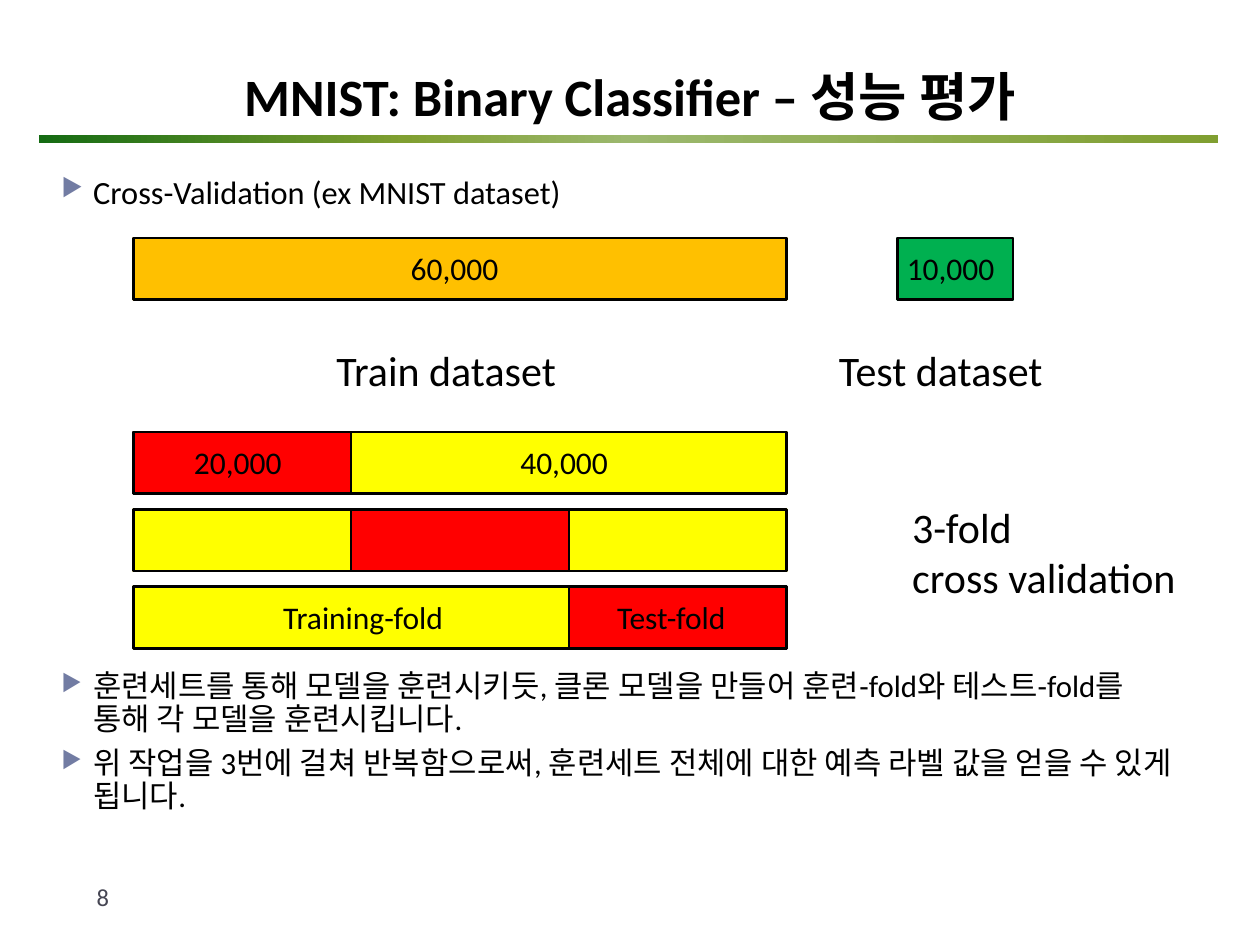
"""Build the cross-validation slide of the MNIST binary classifier lesson."""
from lxml import etree
from pptx import Presentation
from pptx.dml.color import RGBColor
from pptx.enum.shapes import MSO_SHAPE
from pptx.enum.text import MSO_ANCHOR, PP_ALIGN
from pptx.oxml import parse_xml
from pptx.oxml.ns import nsdecls, qn
from pptx.util import Cm, Pt

COLORS = {
    "text": "000000", "number": "464653", "bullet": "727CA3",
    "train": "FFC000", "test": "00B050",
    "training_fold": "FFFF00", "test_fold": "FF0000", "frame": "000000",
}
RULE_STOPS = [(0, "156B13"), (31, "809F31"), (50, "9CB86E"), (100, "809F31")]
FONT = "Calibri"

TITLE = "MNIST: Binary Classifier – 성능 평가"
PAGE_NUMBER = "8"
INTRO = ["Cross-Validation (ex MNIST dataset)"]
EXPLANATION = [
    "훈련세트를 통해 모델을 훈련시키듯, 클론 모델을 만들어 훈련-fold와 테스트-fold를 통해 각 모델을 훈련시킵니다.",
    "위 작업을 3번에 걸쳐 반복함으로써, 훈련세트 전체에 대한 예측 라벨 값을 얻을 수 있게 됩니다.",
]
LABELS = [
    ("Train dataset", 6.53, 6.83, 4.98, 24),
    ("Test dataset", 16.66, 6.83, 4.67, 24),
    ("60,000", 8.03, 4.9, 2.29, 18),
    ("10,000", 18.03, 4.9, 2.29, 18),
    ("20,000", 3.66, 8.81, 2.29, 18),
    ("40,000", 10.24, 8.81, 2.29, 18),
    ("Training-fold", 5.46, 11.94, 3.78, 18),
    ("Test-fold", 12.19, 11.94, 2.74, 18),
    ("3-fold\ncross validation", 18.14, 9.98, 6.5, 24),
]

FOLDS = 3
BAR_LEFT, BAR_HEIGHT, PART_WIDTH = 2.69, 1.24, 4.39
DATASET_TOP, FOLD_TOP, FOLD_STEP = 4.8, 8.71, 1.56
TEST_LEFT, TEST_WIDTH = 18.09, 2.33
BODY_LEFT, BODY_WIDTH = 0.99, 22.91


def rgb(name):
    return RGBColor.from_string(COLORS[name])


def add_block(slide, left, top, width, fill=None, line="frame"):
    block = slide.shapes.add_shape(
        MSO_SHAPE.RECTANGLE, Cm(left), Cm(top), Cm(width), Cm(BAR_HEIGHT))
    block.shadow.inherit = False
    if fill:
        block.fill.solid()
        block.fill.fore_color.rgb = rgb(fill)
    else:
        block.fill.background()
    block.line.color.rgb = rgb(line)
    block.line.width = Pt(1.5)


def add_bar(slide, left, top, part_width, fills):
    for index, fill in enumerate(fills):
        if fill:
            add_block(slide, left + index * part_width, top, part_width, fill, fill)
    add_block(slide, left, top, part_width * len(fills))


def add_text(slide, text, left, top, width, height, size, color="text", wrap=True):
    box = slide.shapes.add_textbox(Cm(left), Cm(top), Cm(width), Cm(height))
    frame = box.text_frame
    frame.word_wrap = wrap
    frame.text = text
    for paragraph in frame.paragraphs:
        for run in paragraph.runs:
            run.font.name = FONT
            run.font.size = Pt(size)
            run.font.color.rgb = rgb(color)
    return frame


def add_bullets(slide, items, top, height, size, spacing):
    frame = add_text(slide, "\n".join(items), BODY_LEFT, top, BODY_WIDTH, height, size)
    for index, paragraph in enumerate(frame.paragraphs):
        properties = paragraph._p.get_or_add_pPr()
        properties.set("marL", str(Cm(0.64)))
        properties.set("indent", str(-Cm(0.64)))
        color = etree.SubElement(properties, qn("a:buClr"))
        etree.SubElement(color, qn("a:srgbClr")).set("val", COLORS["bullet"])
        etree.SubElement(properties, qn("a:buSzPct")).set("val", "76000")
        etree.SubElement(properties, qn("a:buChar")).set("char", "▶")
        paragraph.line_spacing = spacing
        if index:
            paragraph.space_before = Pt(6)


def add_rule(slide):
    rule = slide.shapes.add_shape(
        MSO_SHAPE.RECTANGLE, Cm(0.79), Cm(2.72), Cm(23.77), Cm(0.17))
    rule.shadow.inherit = False
    rule.line.fill.background()
    rule.fill.gradient()
    rule.fill.gradient_angle = 0
    stops = rule._element.spPr.find(qn("a:gradFill")).find(qn("a:gsLst"))
    for stop in list(stops):
        stops.remove(stop)
    for position, color in RULE_STOPS:
        stops.append(parse_xml(
            f'<a:gs {nsdecls("a")} pos="{position * 1000}">'
            f'<a:srgbClr val="{color}"/></a:gs>'))


def main():
    presentation = Presentation()
    presentation.slide_width, presentation.slide_height = Cm(25.4), Cm(19.05)
    slide = presentation.slides.add_slide(presentation.slide_layouts[6])

    add_rule(slide)
    title = add_text(slide, TITLE, 0, 0, 25.4, 2.69, 30)
    title.vertical_anchor = MSO_ANCHOR.BOTTOM
    title.paragraphs[0].alignment = PP_ALIGN.CENTER
    title.paragraphs[0].runs[0].font.bold = True
    add_text(slide, PAGE_NUMBER, 1.7, 17.65, 5.51, 1.02, 14, "number")
    add_bullets(slide, INTRO, 3.56, 0.9, 18.5, 0.7)
    add_bullets(slide, EXPLANATION, 13.4, 3.4, 17.6, 0.9)

    add_bar(slide, BAR_LEFT, DATASET_TOP, PART_WIDTH, ["train"] * FOLDS)
    add_bar(slide, TEST_LEFT, DATASET_TOP, TEST_WIDTH, ["test"])
    for fold in range(FOLDS):
        top = FOLD_TOP + fold * FOLD_STEP
        fills = [None if part == fold else "training_fold" for part in range(FOLDS)]
        add_bar(slide, BAR_LEFT, top, PART_WIDTH, fills)
        add_block(slide, BAR_LEFT + fold * PART_WIDTH, top, PART_WIDTH, "test_fold")

    for text, left, top, width, size in LABELS:
        lines = text.count("\n") + 1
        add_text(slide, text, left, top, width, 0.25 + lines * size * 0.043, size,
                 wrap=lines > 1)

    presentation.save("out.pptx")


if __name__ == "__main__":
    main()
